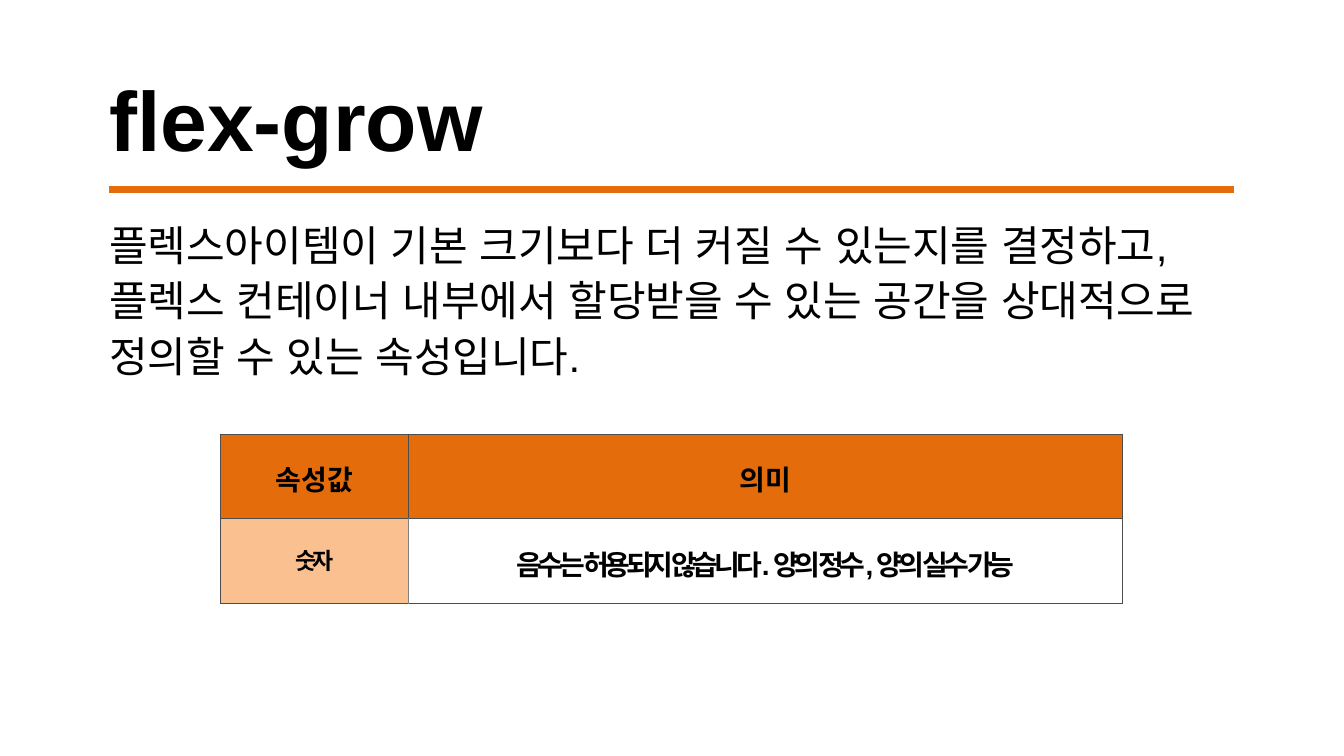
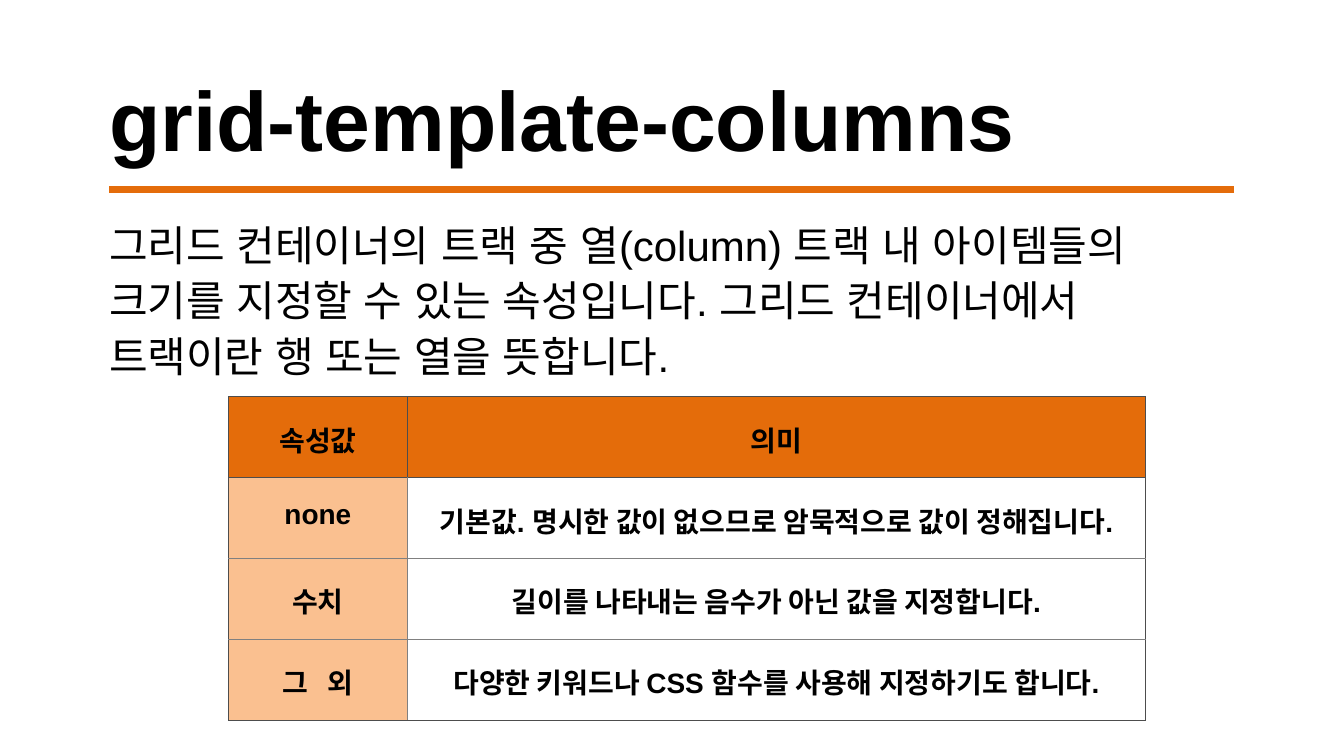
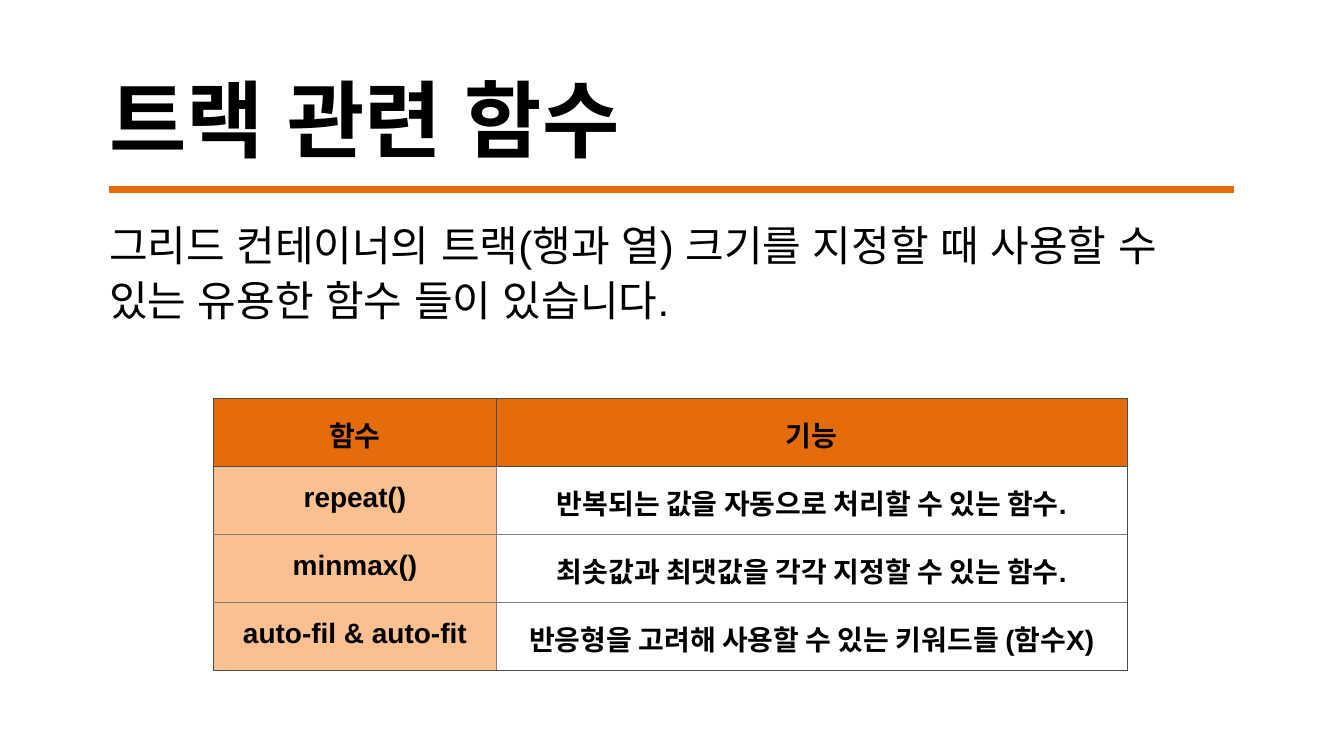
from lxml import etree
from pptx import Presentation
from pptx.dml.color import RGBColor
from pptx.enum.shapes import MSO_CONNECTOR
from pptx.enum.text import PP_ALIGN
from pptx.oxml.ns import qn
from pptx.util import Pt

STRAIGHT = MSO_CONNECTOR.STRAIGHT
LEFT, CENTER = PP_ALIGN.LEFT, PP_ALIGN.CENTER

COLORS = {"text": "000000", "accent": "E46C0A", "label": "FAC090",
          "frame": "4D4D4D", "grid": "808080"}
LATIN, KOREAN = "Arial", "Noto Sans CJK KR"
MARGIN, CONTENT_W = 128.5, 1325

SLIDES = [
    {"title": "flex-grow",
     "body": "플렉스아이템이 기본 크기보다 더 커질 수 있는지를 결정하고, 플렉스 컨테이너 내부에서 "
             "할당받을 수 있는 공간을 상대적으로 정의할 수 있는 속성입니다.",
     "left": 260, "top": 511.2, "cols": [221, 841.7], "row_h": 99.7, "inset": 28.3,
     "rows": [["속성값", "의미"],
              ["숫자", "음수는 허용되지 않습니다. 양의 정수, 양의 실수 가능"]],
     "formats": {(1, 0): {"size": 27, "spacing": -4.5}, (1, 1): {"spacing": -5}}},
    {"title": "grid-template-columns",
     "body": "그리드 컨테이너의 트랙 중 열(column) 트랙 내 아이템들의 크기를 지정할 수 있는 속성입니다. "
             "그리드 컨테이너에서 트랙이란 행 또는 열을 뜻합니다.",
     "left": 269.3, "top": 467.3, "cols": [210.5, 869.5], "row_h": 95.4, "inset": 25.8,
     "rows": [["속성값", "의미"],
              ["none", "기본값. 명시한 값이 없으므로 암묵적으로 값이 정해집니다."],
              ["수치", "길이를 나타내는 음수가 아닌 값을 지정합니다."],
              ["그 외", "다양한 키워드나 CSS 함수를 사용해 지정하기도 합니다."]],
     "formats": {(3, 0): {"spacing": 8}}},
    {"title": "트랙 관련 함수",
     "body": "그리드 컨테이너의 트랙(행과 열) 크기를 지정할 때 사용할 수 있는 유용한 함수 들이 있습니다.",
     "left": 251.7, "top": 469.4, "cols": [333, 743], "row_h": 80.1, "inset": 18.5,
     "rows": [["함수", "기능"],
              ["repeat()", "반복되는 값을 자동으로 처리할 수 있는 함수."],
              ["minmax()", "최솟값과 최댓값을 각각 지정할 수 있는 함수."],
              ["auto-fil & auto-fit", "반응형을 고려해 사용할 수 있는 키워드들 (함수X)"]],
     "formats": {}},
]


def write(tf, text, size=33, bold=True, align=LEFT, line=1.0, east=LATIN, spacing=0):
    tf.word_wrap = True
    p = tf.paragraphs[0]
    p.alignment = align
    p.line_spacing = line
    r = p.add_run()
    r.text = text
    r.font.size = Pt(size)
    r.font.bold = bold
    r.font.name = LATIN
    r.font.color.rgb = RGBColor.from_string(COLORS["text"])
    rPr = r.font._element
    etree.SubElement(rPr, qn("a:ea")).set("typeface", east)
    if spacing:
        rPr.set("spc", str(round(spacing * 100)))


def add_border(cell, side, color):
    ln = etree.SubElement(cell._tc.get_or_add_tcPr(), qn(f"a:ln{side}"), w=str(Pt(1)))
    fill = etree.SubElement(ln, qn("a:solidFill"))
    etree.SubElement(fill, qn("a:srgbClr"), val=color)


prs = Presentation()
prs.slide_width, prs.slide_height = Pt(1583.3), Pt(890.6)

for data in SLIDES:
    s = prs.slides.add_slide(prs.slide_layouts[6])

    for text, top, height, fmt in (
        (data["title"], 67, 121, {"size": 99}),
        (data["body"], 251.3, 190, {"size": 49.5, "bold": False}),
    ):
        tf = s.shapes.add_textbox(Pt(MARGIN), Pt(top), Pt(CONTENT_W), Pt(height)).text_frame
        tf.margin_left = tf.margin_right = tf.margin_bottom = 0
        tf.margin_top = Pt(1)
        write(tf, text, line=1.1, **fmt)

    rows, cols, row_h = data["rows"], data["cols"], data["row_h"]
    table = s.shapes.add_table(len(rows), len(cols), Pt(data["left"]), Pt(data["top"]),
                               Pt(sum(cols)), Pt(row_h * len(rows))).table
    for column, width in zip(table.columns, cols):
        column.width = Pt(width)
    for i, row in enumerate(rows):
        table.rows[i].height = Pt(row_h)
        for j, text in enumerate(row):
            cell = table.cell(i, j)
            cell.margin_left = cell.margin_right = cell.margin_bottom = 0
            cell.margin_top = Pt(data["inset"])
            fmt = data["formats"].get((i, j), {})
            write(cell.text_frame, text, align=CENTER, east=KOREAN, **fmt)
            framed = {"L": i == 0 or j == 0, "R": i == 0 or j == len(cols) - 1,
                      "T": i <= 1, "B": i in (0, len(rows) - 1)}
            for side, is_frame in framed.items():
                add_border(cell, side, COLORS["frame" if is_frame else "grid"])
            if i == 0 or j == 0:
                cell.fill.solid()
                cell.fill.fore_color.rgb = RGBColor.from_string(
                    COLORS["accent" if i == 0 else "label"])
            else:
                cell.fill.background()

    rule = s.shapes.add_connector(STRAIGHT, Pt(MARGIN), Pt(223.2),
                                  Pt(MARGIN + CONTENT_W), Pt(223.2))
    rule.line.width = Pt(8.25)
    rule.line.color.rgb = RGBColor.from_string(COLORS["accent"])
    etree.SubElement(rule._element.spPr, qn("a:effectLst"))

prs.save("out.pptx")
